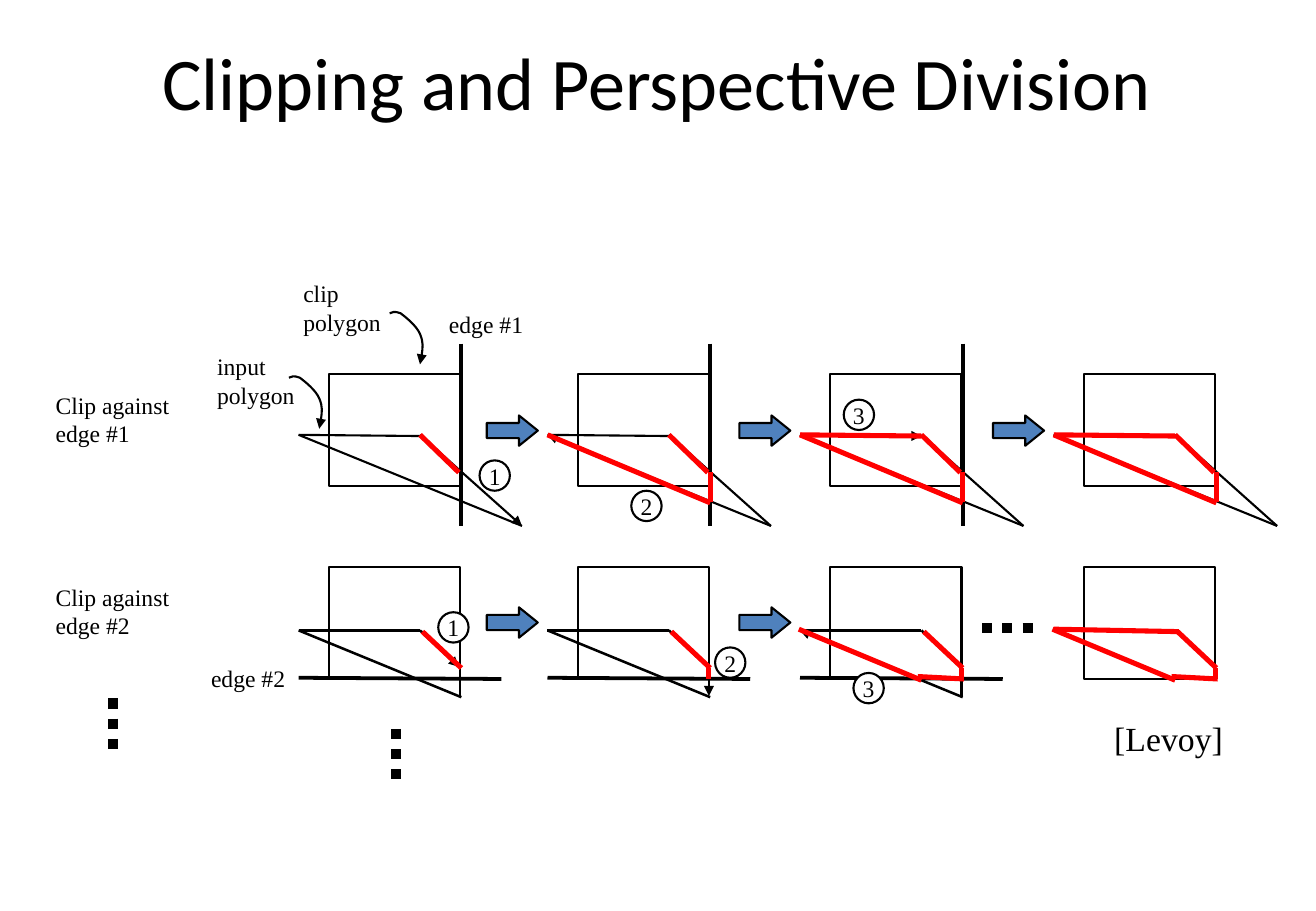
"""Build a slide showing a polygon clipped against two edges, step by step."""
from lxml import etree
from pptx import Presentation
from pptx.dml.color import RGBColor
from pptx.enum.dml import MSO_LINE
from pptx.enum.shapes import MSO_CONNECTOR, MSO_SHAPE
from pptx.enum.text import MSO_ANCHOR, PP_ALIGN
from pptx.oxml.ns import qn
from pptx.util import Pt

PX = 9144
BLACK, RED, BLUE, WHITE = "000000", "FF0000", "4F81BD", "FFFFFF"
SERIF = "Times New Roman"
HEAD, TAIL = "a:headEnd", "a:tailEnd"
STRAIGHT = MSO_CONNECTOR.STRAIGHT
RECTANGLE, RIGHT_ARROW, OVAL = MSO_SHAPE.RECTANGLE, MSO_SHAPE.RIGHT_ARROW, MSO_SHAPE.OVAL
DOTTED = MSO_LINE.ROUND_DOT
LEFT, CENTER = PP_ALIGN.LEFT, PP_ALIGN.CENTER
MIDDLE = MSO_ANCHOR.MIDDLE

presentation = Presentation()
presentation.slide_width = 1084 * PX
presentation.slide_height = 750 * PX
slide = presentation.slides.add_slide(presentation.slide_layouts[6])
shapes = slide.shapes


def style_outline(shape, width, color=BLACK, arrow=None):
    shape.line.width = Pt(width)
    shape.line.fill.solid()
    shape.line.fill.fore_color.rgb = RGBColor.from_string(color)
    properties = shape._element.spPr
    if arrow:
        etree.SubElement(properties.find(qn("a:ln")), qn(arrow), type="triangle")
    etree.SubElement(properties, qn("a:effectLst"))


def draw_line(points, width, color=BLACK, arrow=None):
    connector = shapes.add_connector(STRAIGHT, *[value * PX for value in points])
    style_outline(connector, width, color, arrow)
    return connector


column_lefts = (246, 451, 659, 868)
rows = [
    dict(
        frame_top=308, arrow_top=342, arrow_count=3, polygon_columns=4, polygon_width=1.25,
        polygon=[(0, 358, 100, 359), (100, 358, 184, 433), (0, 358, 184, 433)],
        heads=[(1, TAIL), (2, HEAD), (0, TAIL), (None, None)],
        clip_edge=(134, 283, 134, 433),
        clipped=[(100, 358, 132, 389), (134, 389, 134, 413), (0, 358, 134, 414), (0, 358, 100, 359)],
        clipped_counts=(1, 3, 4, 4),
    ),
    dict(
        frame_top=467, arrow_top=500, arrow_count=2, polygon_columns=3, polygon_width=1.5,
        polygon=[(100, 519, 132, 549), (133, 549, 133, 573), (0, 519, 134, 574), (0, 519, 100, 519)],
        heads=[(0, TAIL), (1, TAIL), (2, HEAD), (None, None)],
        clip_edge=(0, 558, 167, 559),
        clipped=[(102, 520, 134, 550), (133, 550, 133, 559), (135, 559, 97, 557),
                 (100, 560, -1, 518), (103, 520, 0, 518)],
        clipped_counts=(1, 2, 4, 5),
    ),
]

for row in rows:
    for column, left in enumerate(column_lefts):
        frame = shapes.add_shape(RECTANGLE, (left + 25) * PX, row["frame_top"] * PX, 108 * PX, 92 * PX)
        frame.fill.background()
        style_outline(frame, 1.25)

        head_index, head_end = row["heads"][column]
        strokes = []
        if column < row["polygon_columns"]:
            for index, segment in enumerate(row["polygon"]):
                arrow = head_end if index == head_index else None
                strokes.append((segment, row["polygon_width"], BLACK, arrow))
        if column < 3:
            strokes.append((row["clip_edge"], 2.25, BLACK, None))
        for segment in row["clipped"][:row["clipped_counts"][column]]:
            strokes.append((segment, 3, RED, None))
        for (x1, y1, x2, y2), width, color, arrow in strokes:
            draw_line((left + x1, y1, left + x2, y2), width, color, arrow)

    for left in column_lefts[1:row["arrow_count"] + 1]:
        step_arrow = shapes.add_shape(RIGHT_ARROW, (left - 50) * PX, row["arrow_top"] * PX, 42 * PX, 25 * PX)
        step_arrow.adjustments[0] = 0.5
        step_arrow.adjustments[1] = 0.62
        step_arrow.fill.solid()
        step_arrow.fill.fore_color.rgb = RGBColor.from_string(BLUE)
        style_outline(step_arrow, 1.25)

pointer_curve = [(321, 258), (323, 257), (325, 256), (330, 258), (334, 261),
                 (343, 268), (346, 275), (349, 282), (348, 291), (346, 300)]
for shift_x, shift_y in [(0, 0), (-83, 53)]:
    points = [(x + shift_x, y + shift_y) for x, y in pointer_curve]
    builder = shapes.build_freeform(*points[0], scale=PX)
    builder.add_line_segments(points[1:], close=False)
    pointer = builder.convert_to_shape()
    curve_path = next(pointer._element.iter(qn("a:path")))
    segments = curve_path.findall(qn("a:lnTo"))
    for start in range(0, len(segments), 3):
        bezier = etree.SubElement(curve_path, qn("a:cubicBezTo"))
        for segment in segments[start:start + 3]:
            bezier.append(segment[0])
            curve_path.remove(segment)
    pointer.fill.background()
    style_outline(pointer, 1.25, arrow=TAIL)

for ellipsis_points in [(809, 517, 851, 517), (326, 600, 326, 642), (93, 575, 93, 617)]:
    draw_line(ellipsis_points, 6).line.dash_style = DOTTED

labels = [
    (["Clipping and Perspective Division"], (54, 25, 975, 157), 44, "Calibri", CENTER),
    (["Clip against", "edge #1"], (36, 317, 130, 57), 14, SERIF, LEFT),
    (["Clip against", "edge #2"], (36, 475, 130, 57), 14, SERIF, LEFT),
    (["input", "polygon"], (169, 285, 90, 57), 14, SERIF, LEFT),
    (["clip", "polygon"], (240, 225, 90, 57), 14, SERIF, LEFT),
    (["edge #1"], (360, 250, 90, 34), 14, SERIF, LEFT),
    (["edge #2"], (164, 542, 90, 34), 14, SERIF, LEFT),
    (["[Levoy]"], (908, 586, 130, 42), 20, SERIF, LEFT),
]
for lines, box, size, font_name, alignment in labels:
    label = shapes.add_textbox(*[value * PX for value in box])
    frame = label.text_frame
    frame.word_wrap = True
    frame.text = "\n".join(lines)
    for paragraph in frame.paragraphs:
        paragraph.alignment = alignment
        paragraph.font.size = Pt(size)
        paragraph.font.name = font_name
        paragraph.font.color.rgb = RGBColor.from_string(BLACK)

badges = [("1", 395, 379), ("2", 520, 404), ("3", 695, 329),
          ("1", 361, 504), ("2", 589, 533), ("3", 703, 554)]
for number, left, top in badges:
    badge = shapes.add_shape(OVAL, left * PX, top * PX, 25 * PX, 25 * PX)
    badge.fill.solid()
    badge.fill.fore_color.rgb = RGBColor.from_string(WHITE)
    style_outline(badge, 1.25)
    frame = badge.text_frame
    frame.margin_left = frame.margin_right = frame.margin_top = frame.margin_bottom = 0
    frame.word_wrap = False
    frame.vertical_anchor = MIDDLE
    frame.text = number
    paragraph = frame.paragraphs[0]
    paragraph.alignment = CENTER
    paragraph.font.size = Pt(14)
    paragraph.font.name = SERIF
    paragraph.font.color.rgb = RGBColor.from_string(BLACK)

presentation.save("out.pptx")
